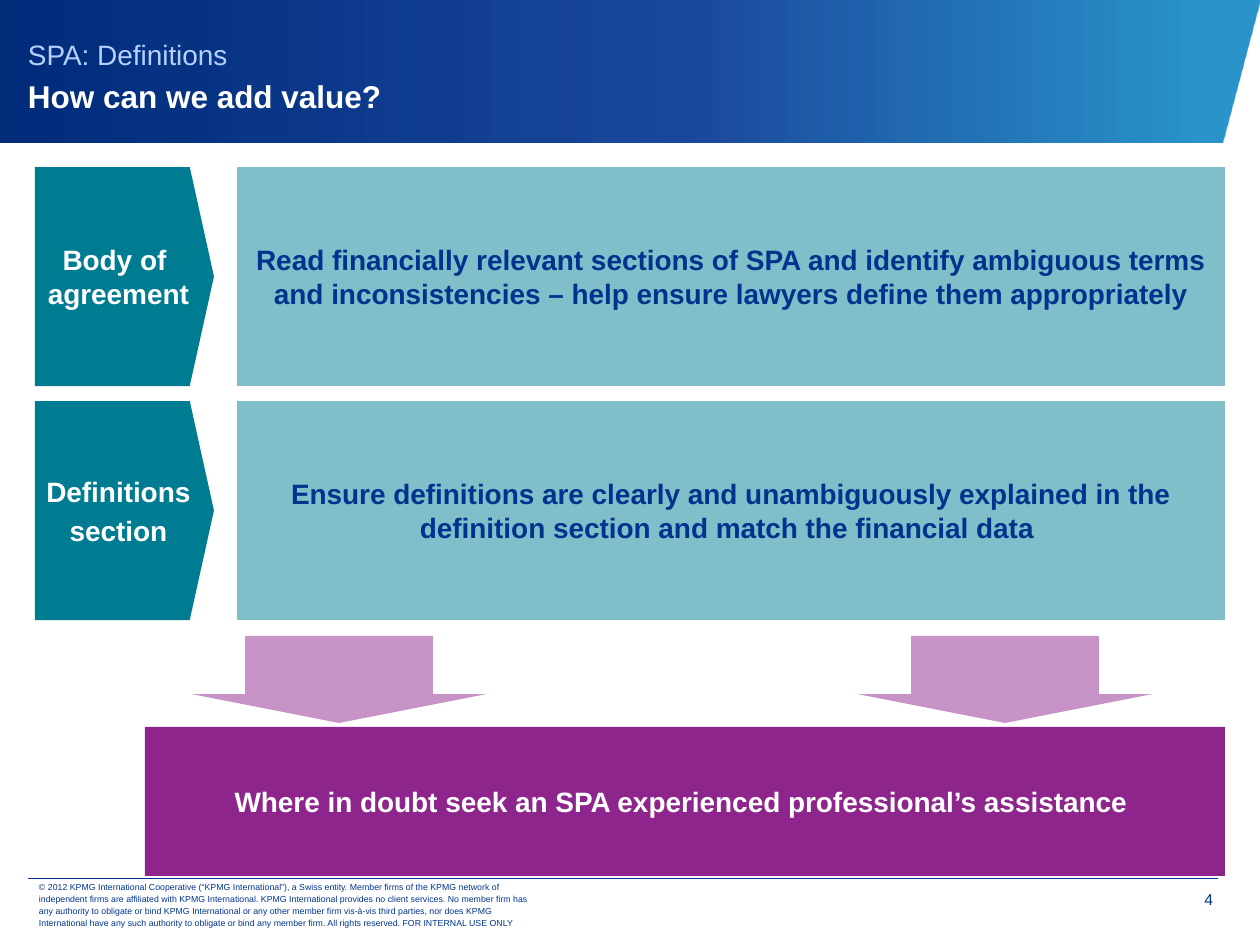
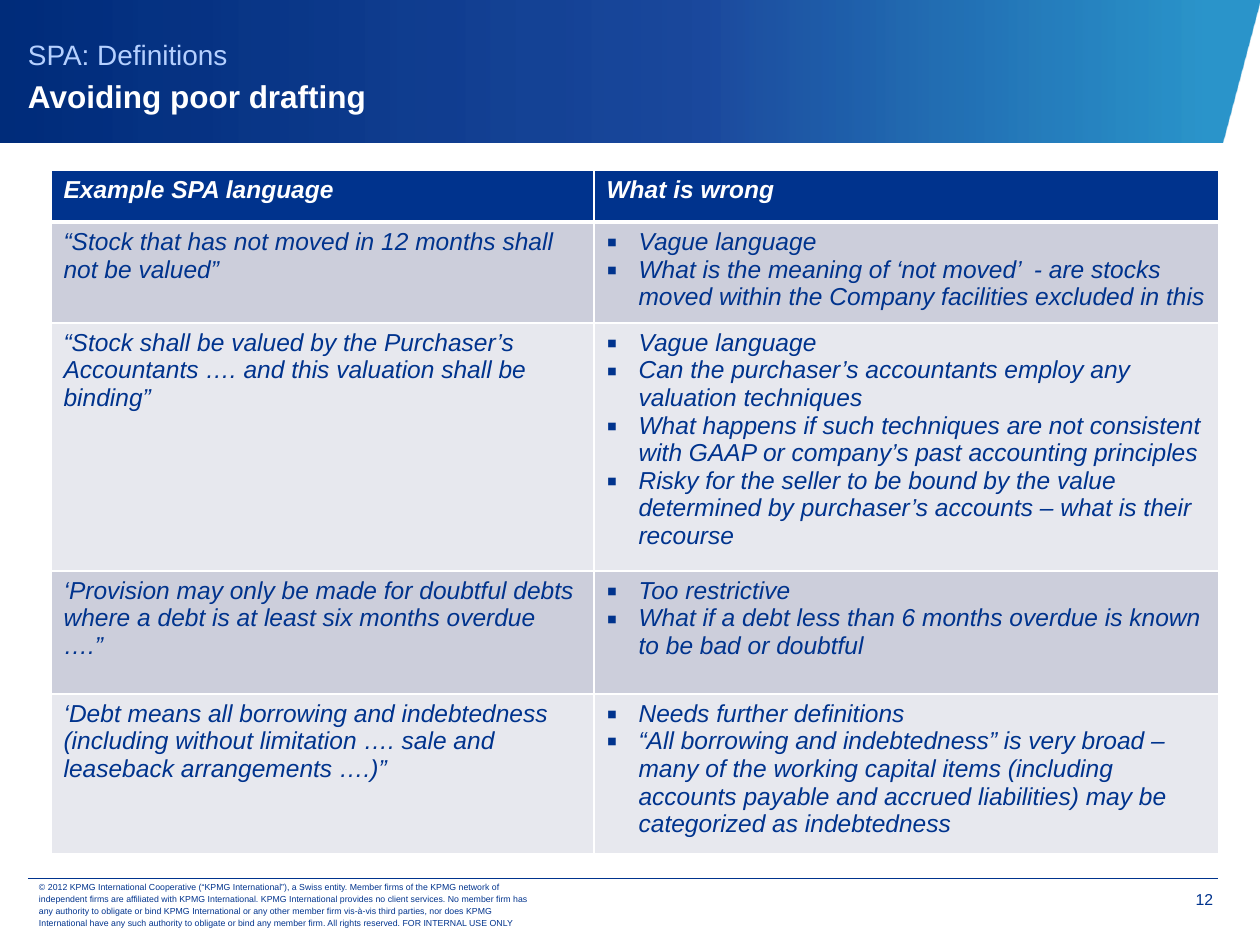
from lxml.etree import SubElement as Sub
from pptx import Presentation
from pptx.dml.color import RGBColor as RGB
from pptx.enum.shapes import MSO_CONNECTOR as LINK, MSO_SHAPE as SHAPE
from pptx.enum.text import MSO_ANCHOR as ANCHOR, PP_ALIGN as ALIGN
from pptx.oxml.ns import qn
from pptx.util import Emu, Pt

SCALE = 914400 / 126
NAVY, SKY, WHITE = "00338D", "B5D0FF", "FFFFFF"
TEAL, MIST, PLUM, LILAC = "007C92", "80BEC9", "8E258D", "C792C6"
DARK, PALE = "CCCEDB", "E7E8EE"
FADE = [(4, "0080C0", 83), (44, "003492", 89), (100, "002C7A", 100)]
RIGHTS = (
    "© 2012 KPMG International Cooperative (“KPMG International”), a Swiss entity. "
    "Member firms of the KPMG network of independent firms are affiliated with KPMG "
    "International. KPMG International provides no client services. No member firm has "
    "any authority to obligate or bind KPMG International or any other member firm "
    "vis-à-vis third parties, nor does KPMG International have any such authority to "
    "obligate or bind any member firm. All rights reserved. FOR INTERNAL USE ONLY"
)

STEPS = [
    (["Body of \vagreement"],
     "Read financially relevant sections of SPA and identify ambiguous terms and "
     "inconsistencies – help ensure lawyers define them appropriately"),
    (["Definitions ", "section"],
     "Ensure definitions are clearly and unambiguously explained in the definition "
     "section and match the financial data "),
]
ADVICE = "Where in doubt seek an SPA experienced professional’s assistance "

HEADS = ["Example SPA language", "What is wrong"]
CASES = [
    ("“Stock that has not moved in 12 months shall not be valued”",
     ["Vague language",
      "What is the meaning of ‘not moved’  - are stocks moved within the Company "
      "facilities excluded in this"]),
    ("“Stock shall be valued by the Purchaser’s Accountants …. and this valuation "
     "shall be binding”",
     ["Vague language",
      "Can the purchaser’s accountants employ any valuation techniques",
      "What happens if such techniques are not consistent with GAAP or company’s "
      "past accounting principles",
      "Risky for the seller to be bound by the value determined by purchaser’s "
      "accounts – what is their recourse"]),
    ("‘Provision may only be made for doubtful debts where a debt is at least six "
     "months overdue ….”",
     ["Too restrictive",
      "What if a debt less than 6 months overdue is known to be bad or doubtful"]),
    ("‘Debt means all borrowing and indebtedness (including without limitation …. "
     "sale and leaseback arrangements ….)”",
     ["Needs further definitions",
      "“All borrowing and indebtedness” is very broad – many of the working capital "
      "items (including accounts payable and accrued liabilities) may be categorized "
      "as indebtedness"]),
]


def px(num):
    return Emu(round(num * SCALE))


def box(*nums):
    return [px(num) for num in nums]


def color(code):
    return RGB.from_string(code)


def put(item, **vals):
    for name, val in vals.items():
        setattr(item, name, val)


def style(run, size, code, **vals):
    put(run.font, name="Arial", size=Pt(size), **vals)
    run.font.color.rgb = color(code)


def write(frame, lines, size, code, form=None, **vals):
    """Fill a text frame with one paragraph per line."""
    for num, line in enumerate(lines):
        para = frame.add_paragraph() if num else frame.paragraphs[0]
        para.text = line
        put(para, **(form or {}))
        if num == 0:
            para.space_before = Pt(0)
        for run in para.runs:
            style(run, size, code, **vals)


def inset(frame, *pads):
    sides = ("left", "top", "right", "bottom")
    put(frame, **{f"margin_{side}": px(pad) for side, pad in zip(sides, pads)})


def area(slide, place, pads, anchor):
    frame = slide.shapes.add_textbox(*box(*place)).text_frame
    put(frame, word_wrap=True, vertical_anchor=anchor)
    inset(frame, *pads)
    return frame


def plain(shape, code=None):
    shape.shadow.inherit = False
    shape.line.fill.background()
    if code:
        shape.fill.solid()
        shape.fill.fore_color.rgb = color(code)


def panel(slide, kind, place, fill, lines=(), ink=WHITE):
    shape = slide.shapes.add_shape(kind, *box(*place))
    plain(shape, fill)
    put(shape.text_frame, word_wrap=True, vertical_anchor=ANCHOR.MIDDLE)
    inset(shape.text_frame, 8, 8, 8, 8)
    form = {"alignment": ALIGN.CENTER, "space_before": Pt(3)}
    write(shape.text_frame, lines, 16, ink, form, bold=True)
    return shape


def banner(slide, wide, high):
    """Slanted band with a fading fill."""
    pen = slide.shapes.build_freeform(px(0), px(high))
    pen.add_line_segments([box(wide - 38, high), box(wide, 0), box(0, 0)], close=True)
    band = pen.convert_to_shape()
    plain(band)
    band.fill.gradient()
    band.fill.gradient_angle = 180
    stops = band._element.spPr.find(".//" + qn("a:gsLst"))
    stops.clear()
    for spot, code, solid in FADE:
        stop = Sub(stops, qn("a:gs"), pos=str(spot * 1000))
        tint = Sub(stop, qn("a:srgbClr"), val=code)
        Sub(tint, qn("a:alpha"), val=str(solid * 1000))


def title(slide, place, head):
    frame = area(slide, place, (0, 0, 0, 0), ANCHOR.MIDDLE)
    para = frame.paragraphs[0]
    para.line_spacing = Pt(25)
    for text, size, code, bold in (("SPA: Definitions", 16, SKY, False),
                                   (head, 18, WHITE, True)):
        if para.runs:
            para.add_line_break()
        run = para.add_run()
        run.text = text
        style(run, size, code, bold=bold)


def footer(slide, left, top, wide, page):
    # Page number
    frame = area(slide, (left + 1116, top + 2, 69, 39), (10, 10, 0, 0), ANCHOR.TOP)
    write(frame, [page], 9, NAVY, {"alignment": ALIGN.RIGHT})
    # Rights line
    frame = area(slide, (left - 2, top + 4, 523, 44), (13, 6, 13, 6), ANCHOR.MIDDLE)
    write(frame, [RIGHTS], 5, NAVY, {"line_spacing": Pt(7)})
    # Rule
    rule = slide.shapes.add_connector(
        LINK.STRAIGHT, *box(left, top, left + wide, top))
    rule.line.color.rgb = color(NAVY)
    rule.line.width = Pt(0.25)
    Sub(rule._element.spPr, qn("a:effectLst"))


def start(deck, head, page):
    slide = deck.slides.add_slide(deck.slide_layouts[6])
    banner(slide, 1260, 142)
    title(slide, (28, 16, 1178, 110), head)
    footer(slide, 28, 878, 1190, page)
    return slide


def flow(slide, left, top, wide):
    """Two labelled steps leading down to one piece of advice."""
    high, gap, tab, lead = 219, 15, 179, 202
    for num, (label, text) in enumerate(STEPS):
        line = top + num * (high + gap)
        tag = panel(slide, SHAPE.PENTAGON, (left, line, tab, high), TEAL, label)
        tag.adjustments[0] = 0.135
        panel(slide, SHAPE.RECTANGLE, (left + lead, line, wide - lead, high),
              MIST, [text], NAVY)
    base = top + len(STEPS) * (high + gap)
    # Advice and the arrows into it
    panel(slide, SHAPE.RECTANGLE, (left + 110, base + 92, wide - 110, 149),
          PLUM, [ADVICE])
    for step in (157, 823):
        arrow = panel(slide, SHAPE.DOWN_ARROW, (left + step, base + 1, 294, 87), LILAC)
        arrow.adjustments[0], arrow.adjustments[1] = 0.639, 0.331


def edge(cell, above, below):
    props = cell._tc.get_or_add_tcPr()
    for side, width in zip("LRTB", (1, 1, above, below)):
        line = Sub(props, qn("a:ln" + side), w=str(Pt(width)))
        Sub(Sub(line, qn("a:solidFill")), qn("a:srgbClr"), val=WHITE)


def bullet(para):
    props = para._p.get_or_add_pPr()
    put_in = {"marL": px(32), "indent": px(-32)}
    for name, val in put_in.items():
        props.set(name, str(val))
    Sub(props, qn("a:buSzPct"), val="125000")
    Sub(props, qn("a:buFont"), typeface="Arial")
    Sub(props, qn("a:buChar"), char="▪")


def grid(slide, left, top, cols, rows):
    """Table of sample wording and its faults."""
    table = slide.shapes.add_table(
        len(rows), len(cols), *box(left, top, sum(cols), sum(rows))).table
    put(table, first_row=False, horz_banding=False)
    for col, wide in zip(table.columns, cols):
        col.width = px(wide)
    for row, high in zip(table.rows, rows):
        row.height = px(high)
    lines = [[[head] for head in HEADS]] + [[[text], faults] for text, faults in CASES]
    for y, row in enumerate(lines):
        for x, texts in enumerate(row):
            cell = table.cell(y, x)
            edge(cell, 3 if y == 1 else 1, 3 if y == 0 else 1)
            cell.fill.solid()
            fill = NAVY if y == 0 else DARK if y % 2 else PALE
            cell.fill.fore_color.rgb = color(fill)
            write(cell.text_frame, texts, 14, WHITE if y == 0 else NAVY,
                  bold=y == 0, italic=True)
            if x and y:
                for para in cell.text_frame.paragraphs:
                    bullet(para)


def main():
    deck = Presentation()
    put(deck, slide_width=px(1260), slide_height=px(945))
    flow(start(deck, "How can we add value?", "4"), 35, 167, 1190)
    grid(start(deck, "Avoiding poor drafting", "12"), 51, 170,
         (543, 625), (52, 95, 233, 123, 150))
    deck.save("out.pptx")


if __name__ == "__main__":
    main()
